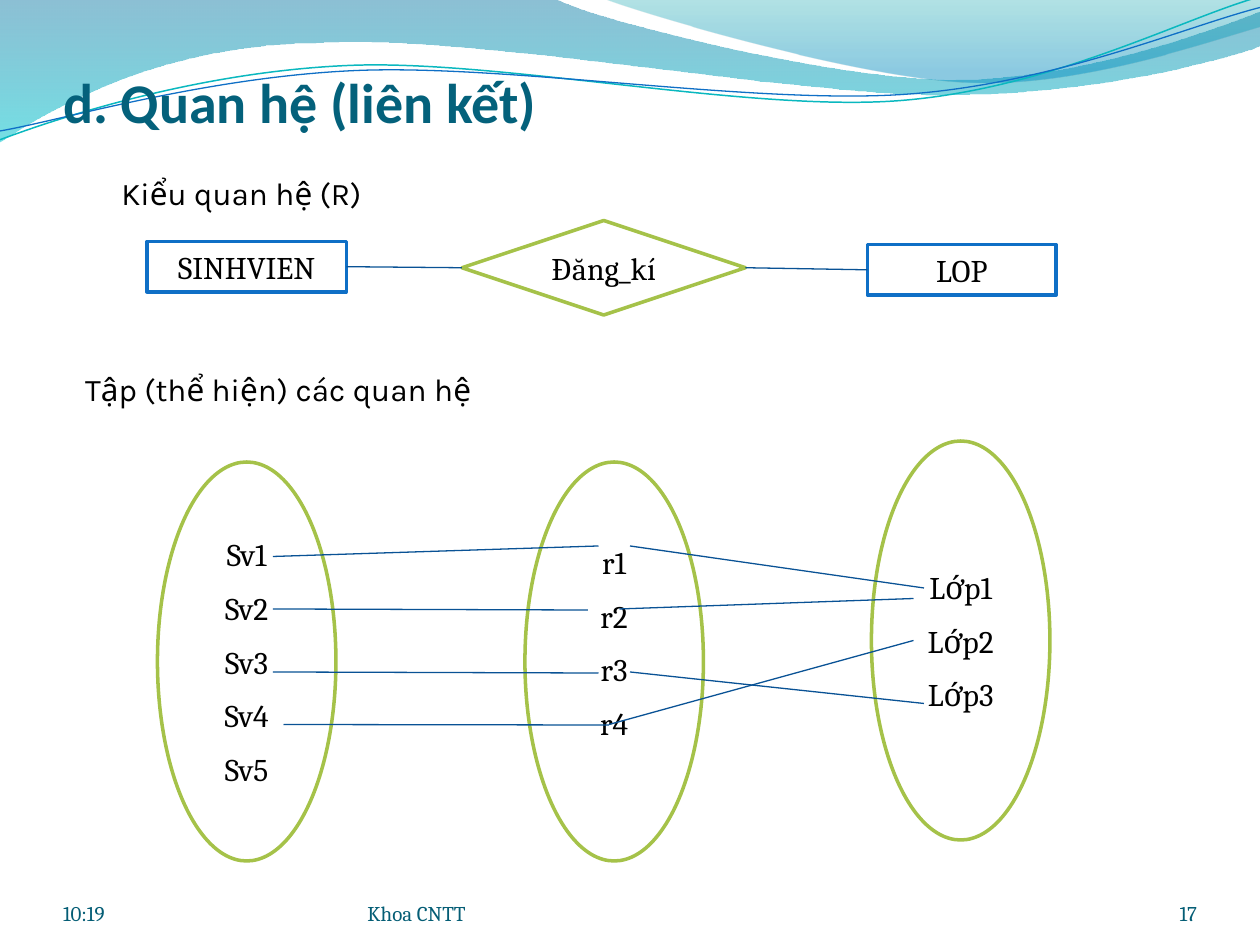
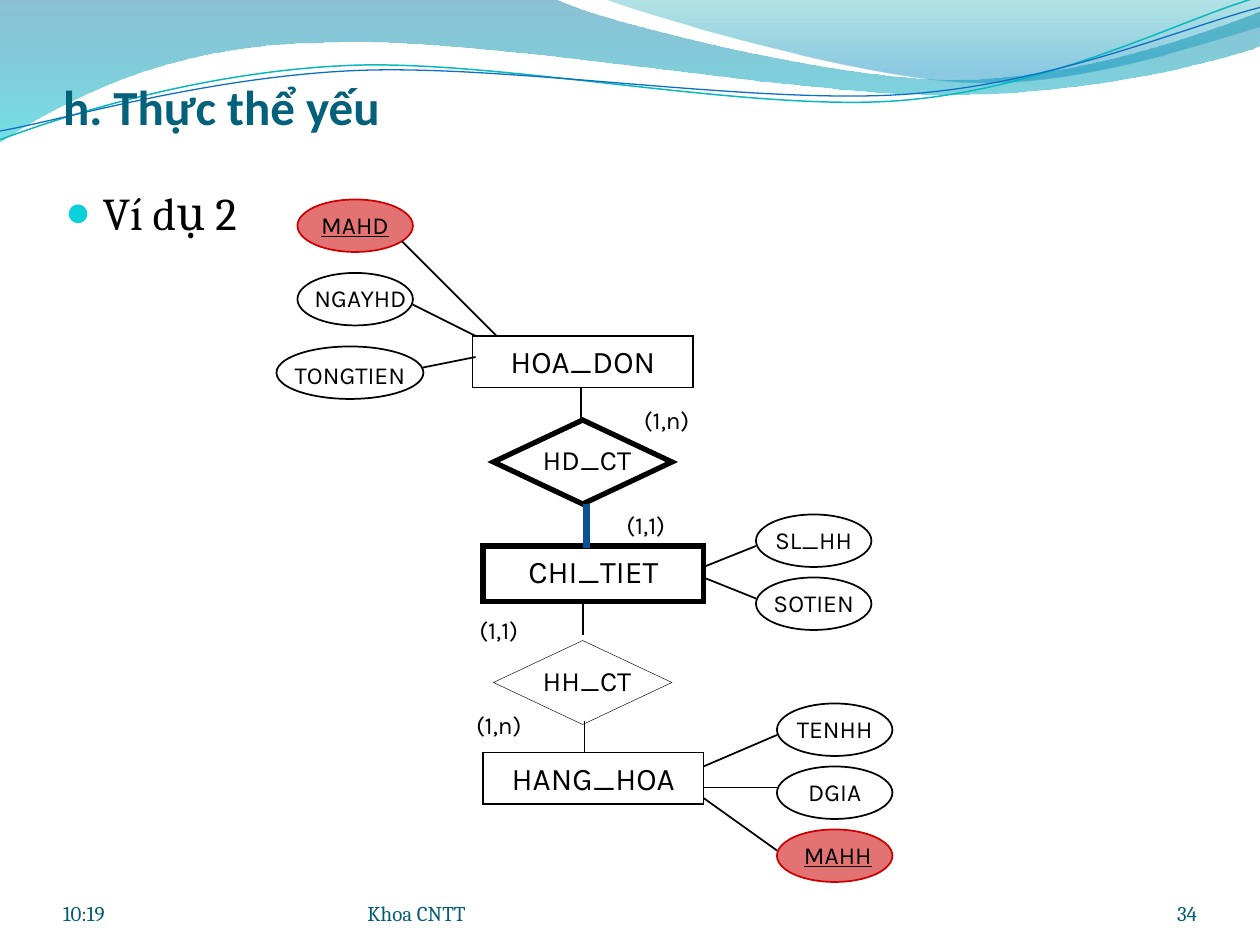
from math import cos, radians, sin
from lxml.etree import SubElement
from pptx import Presentation
from pptx.dml.color import RGBColor
from pptx.enum.shapes import MSO_CONNECTOR, MSO_SHAPE as Shape
from pptx.enum.text import MSO_ANCHOR as Anchor, MSO_AUTO_SIZE, PP_ALIGN as Align
from pptx.oxml.ns import qn
from pptx.util import Inches, Pt

BLACK = RGBColor(0x00, 0x00, 0x00)
WHITE = RGBColor(0xFF, 0xFF, 0xFF)
TITLE_TEAL = RGBColor(0x04, 0x61, 0x7B)
FOOTER_TEAL = RGBColor(0x04, 0x5D, 0x75)
BLUE = RGBColor(0x0F, 0x6F, 0xC6)
LINK_BLUE = RGBColor(0x09, 0x52, 0x95)
GREEN = RGBColor(0xA5, 0xC2, 0x49)
KEY_RED = RGBColor(0xCC, 0x00, 0x00)
BULLET_CYAN = RGBColor(0x0B, 0xD0, 0xD9)
WAVE_CYAN = RGBColor(0x0A, 0xB8, 0xBF)
DEEP_BLUE = RGBColor(0x00, 0x74, 0xA1)
AQUA = RGBColor(0x00, 0xC6, 0xCF)
SEA_GREEN = RGBColor(0x00, 0xA1, 0xA9)
SKY_BLUE = RGBColor(0x00, 0x8B, 0xBF)

COLUMNS, ROWS = 120, 90
CELL = Inches(10) / COLUMNS
WAVE_TILT = 2.7


def add_node(page, kind, grid, text, font, size, color=BLACK, line=None, weight=1,
             fill=None, anchor=Anchor.MIDDLE, align=Align.CENTER, inset=0, bottom=0):
    left, top, width, height = [round(cells * CELL) for cells in grid]
    if kind is None:
        box = page.shapes.add_textbox(left, top, width, height)
    else:
        box = page.shapes.add_shape(kind, left, top, width, height)
        box.shadow.inherit = False
        box.line.color.rgb = line
        box.line.width = Pt(weight)
        if line == BLACK:
            SubElement(box.element.spPr.find(qn("a:ln")), qn("a:miter"), lim="800000")
        if fill is None:
            box.fill.background()
        else:
            box.fill.solid()
            box.fill.fore_color.rgb = fill
    if not text:
        return box
    frame = box.text_frame
    frame.text = text
    frame.word_wrap = True
    frame.auto_size = MSO_AUTO_SIZE.NONE
    frame.vertical_anchor = anchor
    frame.margin_left = frame.margin_right = 0
    frame.margin_top = Inches(inset)
    frame.margin_bottom = Inches(inset + bottom)
    for index, para in enumerate(frame.paragraphs):
        para.alignment = align
        para.space_before = Pt(size / 2 if index else 0)
        para.font.name = font
        para.font.size = Pt(size)
        para.font.color.rgb = color
    return box


def add_link(page, start, end, color, weight):
    points = [round(cells * CELL) for cells in (*start, *end)]
    link = page.shapes.add_connector(MSO_CONNECTOR.STRAIGHT, *points)
    link.line.color.rgb = color
    link.line.width = Pt(weight)
    SubElement(link.element.spPr, qn("a:effectLst"))


deck = Presentation()
deck.slide_width = round(COLUMNS * CELL)
deck.slide_height = round(ROWS * CELL)
relation_page = deck.slides.add_slide(deck.slide_layouts[5])
weak_entity_page = deck.slides.add_slide(deck.slide_layouts[1])

bands = [
    ((0, -0.01),
     [(4.4, -0.01), (4.76, 0.17, 6.64, 0.63, 7.58, 0.63), (8.53, 0.63, 9.58, 0.26, 10, 0.09),
      (10.01, 0.36), (9.83, 0.44, 8.7, 0.76, 7.46, 0.75), (6.22, 0.75, 3.82, 0.28, 2.57, 0.34),
      (1.29, 0.35, 0.46, 0.83, -0.01, 1.13)],
     [(0, DEEP_BLUE, 45), (1, AQUA, 55)], None),
    ((4.79, -0.01),
     [(5.09, 0.11, 6.82, 0.62, 7.69, 0.65), (8.56, 0.69, 9.61, 0.32, 10, 0.21), (10, 0)],
     [(0, SEA_GREEN, 30), (0.8, SKY_BLUE, 45)], None),
    ((0, 1.11),
     [(0.48, 0.93, 1.58, 0.57, 2.77, 0.52), (3.95, 0.47, 5.93, 0.89, 7.13, 0.8),
      (8.33, 0.71, 9.38, 0.15, 9.98, -0.02)],
     None, (WAVE_CYAN, 0.85, 0.57)),
    ((0, 1.04),
     [(0.47, 0.96, 1.64, 0.61, 2.83, 0.56), (4.03, 0.51, 5.97, 0.83, 7.17, 0.75),
      (8.36, 0.67, 9.41, 0.21, 10, 0.06)],
     None, (BLUE, 0.75, 0.59)),
]
for index, (start, segments, stops, stroke) in enumerate(bands):
    points = [start]
    for segment in segments:
        points.extend(zip(segment[::2], segment[1::2]))
    if stroke:
        tilt, middle = radians(WAVE_TILT), stroke[2]
        points = [(5 + (x - 5) * cos(tilt) - (y - middle) * sin(tilt),
                   middle + (x - 5) * sin(tilt) + (y - middle) * cos(tilt)) for x, y in points]
    points = [(Inches(x), Inches(y)) for x, y in points]
    builder = relation_page.shapes.build_freeform(*points[0])
    builder.add_line_segments(points[1:], close=stops is not None)
    wave = builder.convert_to_shape()
    wave.shadow.inherit = False
    outline = next(wave.element.spPr.iter(qn("a:path")))
    corners = iter(outline.findall(qn("a:lnTo")))
    for segment in segments:
        corner = next(corners)
        if len(segment) == 6:
            corner.addprevious(SubElement(outline, qn("a:cubicBezTo")))
            curve = corner.getprevious()
            for control in (corner, next(corners), next(corners)):
                curve.append(control[0])
                outline.remove(control)
    if stops:
        wave.line.fill.background()
        wave.fill.gradient()
        wave.fill.gradient_angle = 270
        for stop, (position, color, opacity) in zip(wave.fill.gradient_stops, stops):
            stop.position = position
            stop.color.rgb = color
        for tint, (position, color, opacity) in zip(wave.element.spPr.iter(qn("a:srgbClr")), stops):
            SubElement(tint, qn("a:alpha"), val=str(opacity * 1000))
    else:
        wave.rotation = 360 - WAVE_TILT
        wave.fill.background()
        wave.line.color.rgb, wave.line.width = stroke[0], Pt(stroke[1])
    wave.element.nvSpPr.cNvPr.set("id", str(100 + index))
    deck.slide_master.shapes.element.insert(2 + index, wave.element)

headings = [
    (relation_page, "d. Quan hệ (liên kết)", 32, "17"),
    (weak_entity_page, "h. Thực thể yếu", 28, "34"),
]
for page, heading, size, number in headings:
    title = page.shapes.title
    title.left, title.top, title.width, title.height = [
        round(cells * CELL) for cells in (6, 4.65, 108, 8.2)]
    frame = title.text_frame
    frame.text = heading
    frame.auto_size = MSO_AUTO_SIZE.NONE
    frame.vertical_anchor = Anchor.BOTTOM
    frame.margin_left = frame.margin_right = frame.margin_bottom = 0
    para = frame.paragraphs[0]
    para.alignment = Align.LEFT
    para.font.name = "Calibri"
    para.font.size = Pt(size)
    para.font.bold = True
    para.font.color.rgb = TITLE_TEAL
    for column, width, text, align in [(6, 28, "10:19", Align.LEFT),
                                       (35, 44, "Khoa CNTT", Align.LEFT),
                                       (104, 10, number, Align.RIGHT)]:
        add_node(page, None, (column, 83.4, width, 4.8), text, "Cambria", 12,
                 FOOTER_TEAL, anchor=Anchor.BOTTOM, align=align)

page = relation_page
for grid, text in [((7, 16, 32, 4.8), "Kiểu quan hệ (R)"),
                   ((4, 34.65, 45, 4.8), "Tập (thể hiện) các quan hệ")]:
    add_node(page, None, grid, text, "Karla", 18, anchor=Anchor.TOP, inset=0.05)
for kind, grid, text, line in [
    (Shape.RECTANGLE, (14, 23, 19, 4.8), "SINHVIEN", BLUE),
    (Shape.RECTANGLE, (82.6, 23.3, 18, 4.8), "LOP", BLUE),
    (Shape.DIAMOND, (44, 21, 27, 9), "Đăng_kí", GREEN),
]:
    add_node(page, kind, grid, text, "Cambria", 18, line=line, weight=2, fill=WHITE)
for column, row, members, bottom in [
    (15, 44, ["Sv1", "Sv2", "Sv3", "Sv4", "Sv5"], 0),
    (83, 42, ["Lớp1", "Lớp2", "Lớp3"], 0),
    (50, 44, ["r1", "r2", "r3", "r4"], 0.3),
]:
    add_node(page, Shape.OVAL, (column, row, 17, 38), "\n".join(members), "Cambria", 18,
             line=GREEN, weight=2, fill=WHITE, bottom=bottom)
for start, end in [
    ((33, 25.4), (44, 25.5)), ((71, 25.5), (82.6, 25.7)),
    ((26, 53), (57, 52)), ((26, 58), (56, 58.1)), ((26, 64), (57, 64.1)), ((27, 69), (58, 69.05)),
    ((60, 52), (88, 56)), ((59, 58), (87, 57)), ((60, 64), (88, 67)), ((58, 69), (87, 61)),
]:
    add_link(page, start, end, LINK_BLUE, 0.75)

page = weak_entity_page
body = page.placeholders[1]
body.left, body.top, body.width, body.height = [
    round(cells * CELL) for cells in (5, 17, 110, 67)]
body.text_frame.text = "Ví dụ 2"
body.text_frame.auto_size = MSO_AUTO_SIZE.NONE
para = body.text_frame.paragraphs[0]
bullet = para._p.get_or_add_pPr()
bullet.set("marL", str(Inches(0.3)))
bullet.set("indent", str(Inches(-0.3)))
SubElement(SubElement(bullet, qn("a:buClr")), qn("a:srgbClr"), val=str(BULLET_CYAN))
SubElement(bullet, qn("a:buSzPct"), val="95000")
SubElement(bullet, qn("a:buChar"), char="●")
para.space_before = Pt(0)
para.font.name = "Cambria"
para.font.size = Pt(26)
para.font.color.rgb = BLACK

for row, name, weight in [(40, "HD_CT", 3), (61, "HH_CT", 0.25)]:
    add_node(page, Shape.FLOWCHART_DECISION, (47, row, 17, 8), "", "Karla", 16,
             line=BLACK, weight=weight)
    add_node(page, None, (48.4, row + 1.6, 15, 4.4), name, "Karla", 16,
             anchor=Anchor.TOP, inset=0.05)
for column, row, height, name, weight in [
    (45, 32, 4.92, "HOA_DON", 1),
    (46, 52, 5.3, "CHI_TIET", 3),
    (46, 71.68, 4.92, "HANG_HOA", 1),
]:
    add_node(page, Shape.RECTANGLE, (column, row, 21, height), name, "Karla", 18,
             line=BLACK, weight=weight, anchor=Anchor.TOP, inset=0.05)

attributes = [
    ("MAHD", 28.33, 19, 11, (28.8, 10), True),
    ("NGAYHD", 28.33, 26, 11, (28.33, 12), False),
    ("TONGTIEN", 26.33, 33, 14, (26.33, 14), False),
    ("SL_HH", 72, 49, 11, (72, 11), False),
    ("SOTIEN", 72, 55, 11, (72, 11), False),
    ("TENHH", 74, 67, 11, (74, 11), False),
    ("DGIA", 74, 73, 11, (74, 11), False),
    ("MAHH", 74, 79, 11, (74.3, 11), True),
]
for name, column, row, width, (label_column, label_width), is_key in attributes:
    color = KEY_RED if is_key else BLACK
    oval = add_node(page, Shape.OVAL, (column, row, width, 5), "", "Karla", 14,
                    line=color, fill=KEY_RED if is_key else None)
    label_row = row + (0.7 if name == "TONGTIEN" else 0.4)
    label = add_node(page, None, (label_column, label_row, label_width, 4), name,
                     "Karla", 14, anchor=Anchor.TOP, inset=0.05)
    if is_key:
        label.text_frame.paragraphs[0].font.underline = True
        tint = next(oval.element.spPr.iter(qn("a:srgbClr")))
        SubElement(tint, qn("a:alpha"), val="55000")

for column, row, cardinality in [(59, 38, "(1,n)"), (57, 48, "(1,1)"),
                                 (43, 58, "(1,1)"), (43, 67, "(1,n)")]:
    add_node(page, None, (column, row, 9, 4), cardinality, "Karla", 14,
             anchor=Anchor.TOP, inset=0.05)

for start, end in [
    ((47.3, 32), (38.3, 23)), ((45.3, 32), (39.3, 29)), ((45.3, 34), (40.3, 35)),
    ((67, 54), (72, 52)), ((67, 55), (72, 57)),
    ((67, 73), (74, 70)), ((67, 75), (74, 75)), ((67, 76), (74, 81)),
    ((55.3, 37), (55.3, 40)), ((55.5, 57.5), (55.5, 60.5)), ((55.68, 68.68), (55.68, 71.68)),
]:
    add_link(page, start, end, BLACK, 1)
add_link(page, (55.85, 48), (55.85, 52.2), LINK_BLUE, 4.25)

deck.save("out.pptx")
